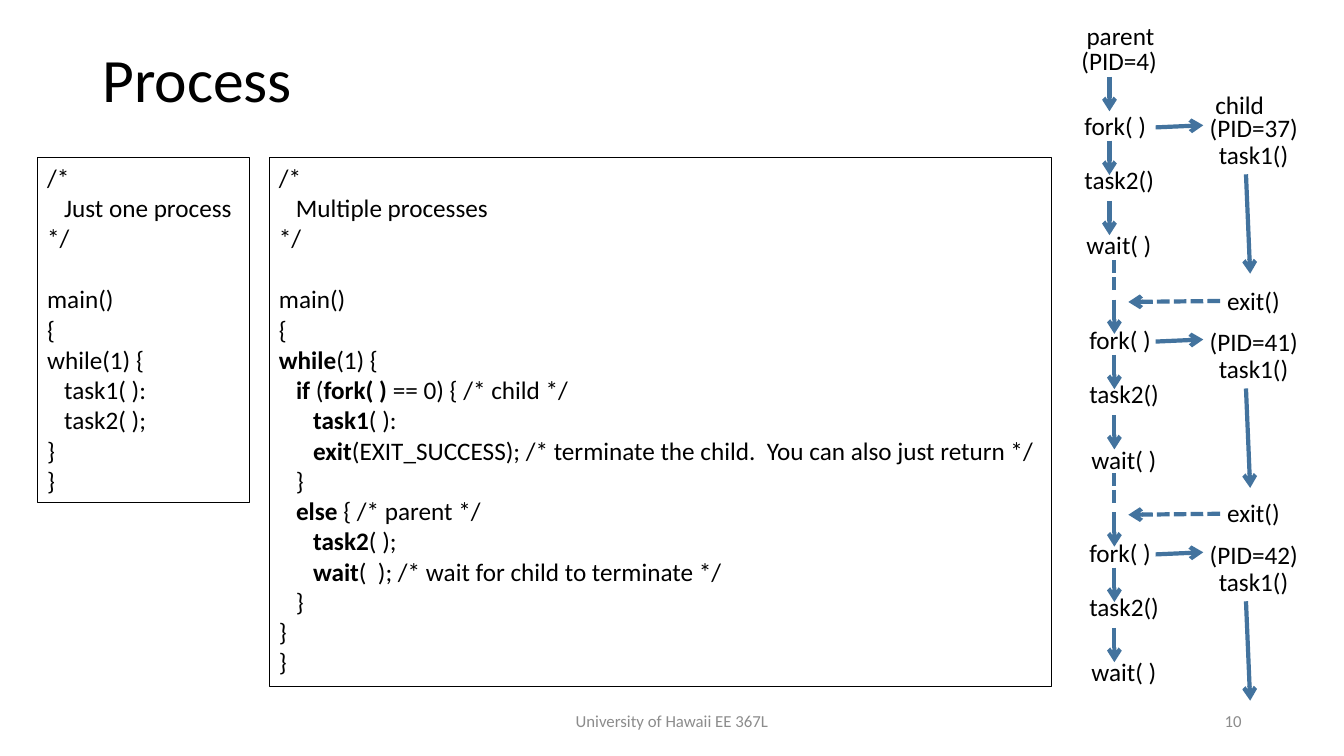
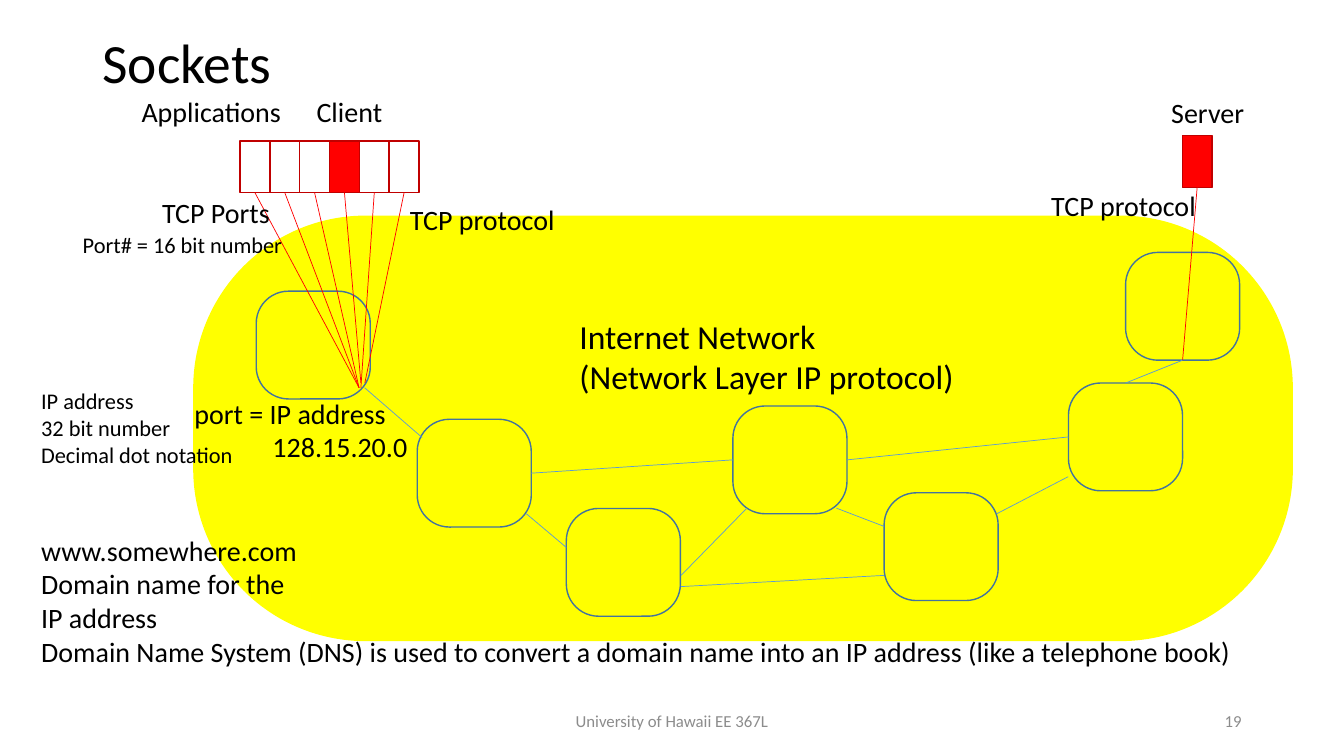
from lxml.etree import SubElement
from pptx import Presentation
from pptx.dml.color import RGBColor
from pptx.enum.dml import MSO_LINE
from pptx.enum.shapes import MSO_CONNECTOR, MSO_SHAPE
from pptx.enum.text import MSO_ANCHOR, PP_ALIGN
from pptx.oxml.ns import qn
from pptx.util import Pt

FONT = "Calibri"
BLACK, GREY = "000000", "8C8C8C"
BLUE, LIGHT_BLUE = "43739E", "5B9BD5"
RED, DARK_RED, YELLOW = "FF0000", "C00000", "FFFF00"
FOOTER = "University of Hawaii EE 367L"

ONE_PROCESS = """/*
   Just one process
*/

main()
{
while(1) {
   task1( ):
   task2( );
}
}"""

# Bars enclose the bold parts
MULTIPLE_PROCESSES = """/*
   Multiple processes
*/

main()
{
|while|(1) {
   |if| (|fork( ) |== 0) { /* child */
      |task1|( ):
      |exit|(EXIT_SUCCESS); /* terminate the child.  You can also just return */
   }
   |else| { /* parent */
      |task2|( );
      |wait|(  ); /* wait for child to terminate */
   }
}
}"""


def rgb(hex_color):
    return RGBColor.from_string(hex_color)


def style(p, size, color=BLACK, align=PP_ALIGN.LEFT):
    p.alignment = align
    p.font.name = FONT
    p.font.size = Pt(size)
    p.font.color.rgb = rgb(color)


def box(slide, kind, x, y, w, h, fill=None, line=None, width=1, adj=None):
    sp = slide.shapes.add_shape(kind, Pt(x), Pt(y), Pt(w), Pt(h))
    sp.shadow.inherit = False
    if adj is not None:
        sp.adjustments[0] = adj
    if fill:
        sp.fill.solid()
        sp.fill.fore_color.rgb = rgb(fill)
    else:
        sp.fill.background()
    if line:
        sp.line.color.rgb = rgb(line)
        sp.line.width = Pt(width)
    else:
        sp.line.fill.background()
    return sp


def label(slide, text, x, y, w, h=29, size=18, color=BLACK,
          align=PP_ALIGN.LEFT, anchor=MSO_ANCHOR.TOP, wrap=False):
    tf = slide.shapes.add_textbox(Pt(x), Pt(y), Pt(w), Pt(h)).text_frame
    tf.word_wrap = wrap
    tf.vertical_anchor = anchor
    tf.text = text
    for p in tf.paragraphs:
        style(p, size, color, align)
    return tf


def code_box(slide, code, x, y, w, h):
    """Framed listing; an empty line becomes space before the next one."""
    tf = box(slide, MSO_SHAPE.RECTANGLE, x, y, w, h, line=BLACK, width=0.75).text_frame
    tf.word_wrap = False
    tf.vertical_anchor = MSO_ANCHOR.TOP
    p, gap = tf.paragraphs[0], 0
    for i, text in enumerate(code.split("\n")):
        if not text:
            gap = 22
            continue
        if i:
            p = tf.add_paragraph()
        style(p, 18)
        p.space_before = Pt(gap)
        gap = 0
        for j, part in enumerate(text.split("|")):
            if part:
                r = p.add_run()
                r.text = part
                if j % 2:
                    r.font.bold = True


def line(slide, start, end, color, width=0.5, dashed=False, arrow=False):
    """Straight line; each end is (x, y) or (shape, connection site)."""
    c = slide.shapes.add_connector(MSO_CONNECTOR.STRAIGHT, 0, 0, 0, 0)
    if isinstance(start[0], (int, float)):
        c.begin_x, c.begin_y = Pt(start[0]), Pt(start[1])
    else:
        c.begin_connect(*start)
    if isinstance(end[0], (int, float)):
        c.end_x, c.end_y = Pt(end[0]), Pt(end[1])
    else:
        c.end_connect(*end)
    c.line.color.rgb = rgb(color)
    c.line.width = Pt(width)
    if dashed:
        c.line.dash_style = MSO_LINE.SQUARE_DOT
    spPr = c._element.spPr
    if arrow:
        SubElement(spPr.find(qn("a:ln")), qn("a:tailEnd"), type="arrow")
    SubElement(spPr, qn("a:effectLst"))


def flow(slide, start, end, dashed=False, arrow=True):
    line(slide, start, end, BLUE, 3, dashed, arrow)


def new_slide(prs, title, number, w, h, size):
    slide = prs.slides.add_slide(prs.slide_layouts[5])
    sp = slide.shapes.title
    sp.left, sp.top, sp.width, sp.height = Pt(66), Pt(29), Pt(w), Pt(h)
    tf = sp.text_frame
    tf.text = title
    tf.vertical_anchor = MSO_ANCHOR.MIDDLE
    style(tf.paragraphs[0], size)
    tf.paragraphs[0].line_spacing = 0.9
    for text, x, width, align in ((FOOTER, 318, 324, PP_ALIGN.CENTER),
                                  (str(number), 678, 216, PP_ALIGN.RIGHT)):
        label(slide, text, x, 500.5, width, size=12, color=GREY, align=align,
              anchor=MSO_ANCHOR.MIDDLE, wrap=True)
    return slide


def fork_cycle(slide, x, top, pid):
    """Parent steps from x, and the child that the fork starts."""
    label(slide, "fork( )", x, top, 59)
    label(slide, "task2()", x, top + 39, 65)
    label(slide, "wait( )", x + 1.5, top + 85.5, 61)
    label(slide, f"(PID={pid})", 857, top + 1.7, 78.5)
    label(slide, "task1()", 863.5, top + 21, 65)
    for y in (top + 25.5, top + 68.5):
        flow(slide, (x + 25, y), (x + 25, y + 24.5))
    flow(slide, (825.5, top + 16), (859.5, top + 14.5))
    flow(slide, (890, top + 49.5), (893, top + 120.5))


def child_exit(slide, next_top):
    """The child ends, and the waiting parent goes on to its next fork."""
    label(slide, "exit()", 869.5, next_top - 28, 52.5)
    flow(slide, (871.5, next_top - 13), (806, next_top - 12.3), dashed=True)
    flow(slide, (795.5, next_top - 42), (795.5, next_top - 20), dashed=True, arrow=False)
    flow(slide, (796, next_top - 14), (796, next_top + 10.5))


def process_slide(prs):
    slide = new_slide(prs, "Process", 10, 320, 60.5, 44)
    code_box(slide, ONE_PROCESS, 26.6, 112.3, 152, 247)
    code_box(slide, MULTIPLE_PROCESSES, 192.2, 112.3, 559, 378)
    label(slide, "parent", 769, 11, 63)
    label(slide, "(PID=4)", 765.4, 29, 69)
    label(slide, "child", 861, 60.5, 50)
    flow(slide, (792.5, 55), (792.5, 79.5))
    for x, top, pid in ((767.5, 75, 37), (771, 228, 41), (771, 380, 42)):
        fork_cycle(slide, x, top, pid)
    for next_top in (228, 380):
        child_exit(slide, next_top)


def node(slide, x, y):
    return box(slide, MSO_SHAPE.ROUNDED_RECTANGLE, x, y, 81.5, 77, line=BLUE, adj=0.299)


def port(slide, x, y, active):
    return box(slide, MSO_SHAPE.RECTANGLE, x, y, 21.3, 37,
               fill=RED if active else None, line=DARK_RED)


def sockets_slide(prs):
    slide = new_slide(prs, "Sockets", 19, 180, 35, 39.6)
    box(slide, MSO_SHAPE.ROUNDED_RECTANGLE, 138, 154, 785.5, 304, fill=YELLOW, adj=0.405)
    node(slide, 183, 208)
    west = node(slide, 298, 299.5)
    node(slide, 404.5, 363.2)
    center = node(slide, 523.5, 290)
    node(slide, 631.5, 352)
    east = node(slide, 763.2, 273.6)
    server_node = node(slide, 804, 180.3)

    for start, end in (
        ((260.5, 277), (301.5, 312.5)),
        ((376, 367), (404.5, 391)),
        ((west, 3), (center, 1)),
        ((486.5, 411), (533.5, 363)),
        ((center, 3), (east, 1)),
        ((486.5, 419), (631.5, 411)),
        ((597.5, 363), (631.5, 376)),
        ((712, 367), (763, 340.5)),
        ((server_node, 2), (east, 0)),
    ):
        line(slide, start, end, LIGHT_BLUE)

    targets = [(256.5, 277)] * 3 + [(257.8, 273.6), (257.8, 277), (260.6, 273.6)]
    for i, target in enumerate(targets):
        client_port = port(slide, 171.5 + 21.3 * i, 100.7, active=i == 3)
        line(slide, (client_port, 2), target, RED)
    server_port = port(slide, 844.5, 96.8, active=True)
    line(slide, (server_port, 2), (server_node, 2), RED)

    for text, x, y, w, h, size in (
        ("Internet Network\n(Network Layer IP protocol)", 406.8, 222, 284.5, 65.5, 24),
        ("TCP Ports", 108.7, 136, 92, 31.5, 20),
        ("Applications", 94, 64, 115, 31.5, 20),
        ("Client", 219, 64, 62, 31.5, 20),
        ("Server", 829.5, 64.8, 67, 31.5, 20),
        ("TCP protocol", 285.8, 141, 119, 31.5, 20),
        ("TCP protocol", 743.8, 131, 119, 31.5, 20),
        ("www.somewhere.com\nDomain name for the\nIP address\n"
         "Domain Name System (DNS) is used to convert a domain name into an IP address "
         "(like a telephone book)", 22.3, 377.3, 865.5, 104.5, 20),
        ("Port# = 16 bit number", 52, 161.3, 159, 26.6, 16),
        ("IP address\n32 bit number\nDecimal dot notation", 22.3, 273, 153.5, 65.5, 16),
    ):
        label(slide, text, x, y, w, h, size)
    tf = label(slide, "port = IP address\n128.15.20.0", 131.8, 279.4, 166.3, 55.5, 20,
               wrap=True)
    tf.paragraphs[1].alignment = PP_ALIGN.RIGHT


def main():
    prs = Presentation()
    prs.slide_width, prs.slide_height = Pt(960), Pt(540)
    process_slide(prs)
    sockets_slide(prs)
    prs.save("out.pptx")


if __name__ == "__main__":
    main()
